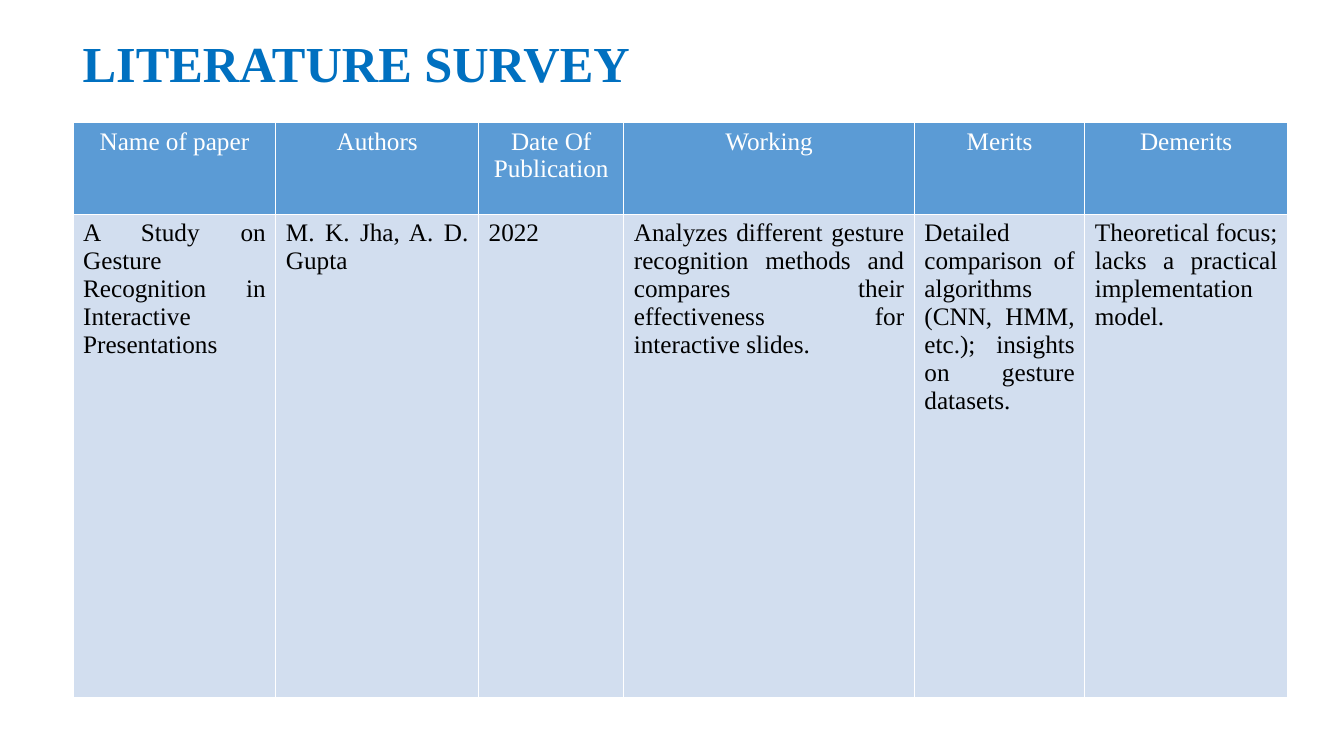
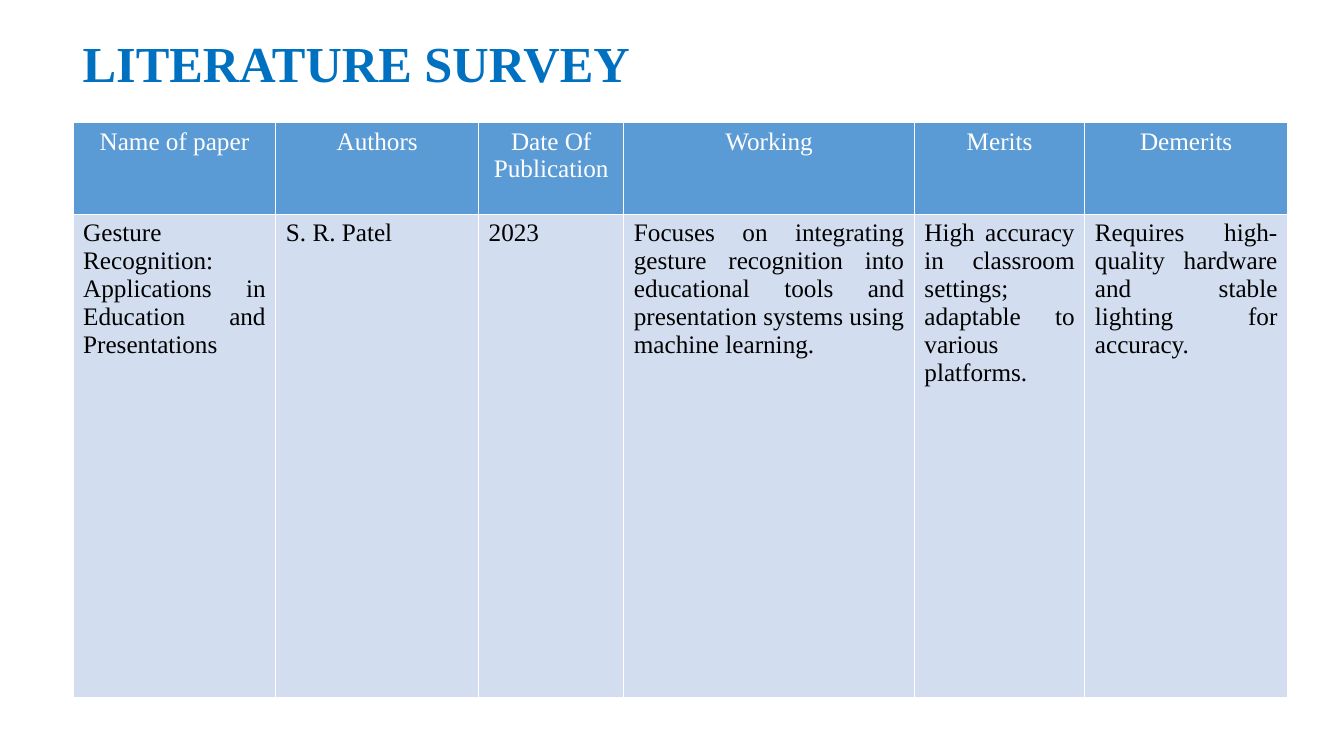
from lxml.etree import SubElement
from pptx import Presentation
from pptx.dml.color import RGBColor
from pptx.enum.text import MSO_ANCHOR, MSO_AUTO_SIZE, PP_ALIGN
from pptx.oxml.ns import qn
from pptx.util import Pt

TITLE_BLUE = RGBColor(0x00, 0x70, 0xC0)
HEADER_BLUE = RGBColor(0x5B, 0x9B, 0xD5)
BODY_BLUE = RGBColor(0xD2, 0xDE, 0xEF)
WHITE = RGBColor(0xFF, 0xFF, 0xFF)
BLACK = RGBColor(0x00, 0x00, 0x00)

FONT = "Times New Roman"
TITLE_FONT = {"name": FONT, "size": Pt(36), "bold": True}
CELL_FONT = {"name": FONT, "size": Pt(18), "bold": False}
TITLE_FRAME = {
    "word_wrap": True,
    "auto_size": MSO_AUTO_SIZE.NONE,
    "vertical_anchor": MSO_ANCHOR.MIDDLE,
}
TITLE_PARA = {"alignment": PP_ALIGN.LEFT, "line_spacing": 0.9}

TITLE_BOX = {"left": Pt(51.8), "top": Pt(-5), "width": Pt(828), "height": Pt(104.4)}
TABLE_BOX = {"left": Pt(52.2), "top": Pt(87.5), "width": Pt(867.6), "height": Pt(411.1)}
COLUMN_SHARES = [2.01, 2.01, 1.44, 2.88, 1.69, 2.01]
ROW_SHARES = [0.91, 4.8]
BORDER_WIDTH = Pt(1)

ROW_STYLES = [
    {"fill": HEADER_BLUE, "color": WHITE, "alignment": PP_ALIGN.CENTER},
    {"fill": BODY_BLUE, "color": BLACK, "alignment": PP_ALIGN.JUSTIFY},
]

TITLE = "LITERATURE SURVEY"
HEADINGS = ["Name of paper", "Authors", "Date Of Publication", "Working", "Merits", "Demerits"]
PAPERS = [
    [
        "A Study on Gesture Recognition in Interactive Presentations",
        "M. K. Jha, A. D. Gupta",
        "2022",
        "Analyzes different gesture recognition methods and compares their "
        "effectiveness for interactive slides.",
        "Detailed comparison of algorithms (CNN, HMM, etc.); insights on gesture datasets.",
        "Theoretical focus; lacks a practical implementation model.",
    ],
    [
        "Gesture Recognition: Applications in Education and Presentations",
        "S. R. Patel",
        "2023",
        "Focuses on integrating gesture recognition into educational tools and "
        "presentation systems using machine learning.",
        "High accuracy in classroom settings; adaptable to various platforms.",
        "Requires high-quality hardware and stable lighting for accuracy.",
    ],
]


def apply_format(target, values):
    """Set every attribute in values on target."""
    for name, value in values.items():
        setattr(target, name, value)


def share_out(lines, shares, total):
    """Divide a total length among columns or rows and return the lengths."""
    return [(line, int(total * share / sum(shares))) for line, share in zip(lines, shares)]


def add_borders(cell):
    """Draw a white line on each side of a cell."""
    properties = cell._tc.get_or_add_tcPr()
    for side in ("lnL", "lnR", "lnT", "lnB"):
        line = SubElement(properties, qn(f"a:{side}"), w=str(int(BORDER_WIDTH)))
        fill = SubElement(line, qn("a:solidFill"))
        SubElement(fill, qn("a:srgbClr"), val=str(WHITE))


def fill_cell(cell, text, style):
    """Write and format one table cell."""
    add_borders(cell)
    cell.fill.solid()
    cell.fill.fore_color.rgb = style["fill"]
    cell.text = text
    para = cell.text_frame.paragraphs[0]
    para.alignment = style["alignment"]
    font = para.runs[0].font
    apply_format(font, CELL_FONT)
    font.color.rgb = style["color"]


def place_title(page, box):
    """Move the title placeholder to the box and format it."""
    title = page.shapes.title
    apply_format(title, box)
    frame = title.text_frame
    frame.text = TITLE
    apply_format(frame, TITLE_FRAME)
    para = frame.paragraphs[0]
    apply_format(para, TITLE_PARA)
    font = para.runs[0].font
    apply_format(font, TITLE_FONT)
    font.color.rgb = TITLE_BLUE


def place_survey_table(page, box, rows):
    """Build the survey table inside the box."""
    table = page.shapes.add_table(len(rows), len(HEADINGS), **box).table
    for column, width in share_out(table.columns, COLUMN_SHARES, box["width"]):
        column.width = width
    for row, height in share_out(table.rows, ROW_SHARES, box["height"]):
        row.height = height
    for row, texts, style in zip(table.rows, rows, ROW_STYLES):
        for cell, text in zip(row.cells, texts):
            fill_cell(cell, text, style)


def add_survey_page(deck, paper):
    """Add one slide that surveys one paper."""
    page = deck.slides.add_slide(deck.slide_layouts[5])
    place_title(page, TITLE_BOX)
    place_survey_table(page, TABLE_BOX, [HEADINGS, paper])


def main():
    """Build and save the deck."""
    deck = Presentation()
    apply_format(deck, {"slide_width": Pt(960), "slide_height": Pt(540)})
    for paper in PAPERS:
        add_survey_page(deck, paper)
    deck.save("out.pptx")


if __name__ == "__main__":
    main()
